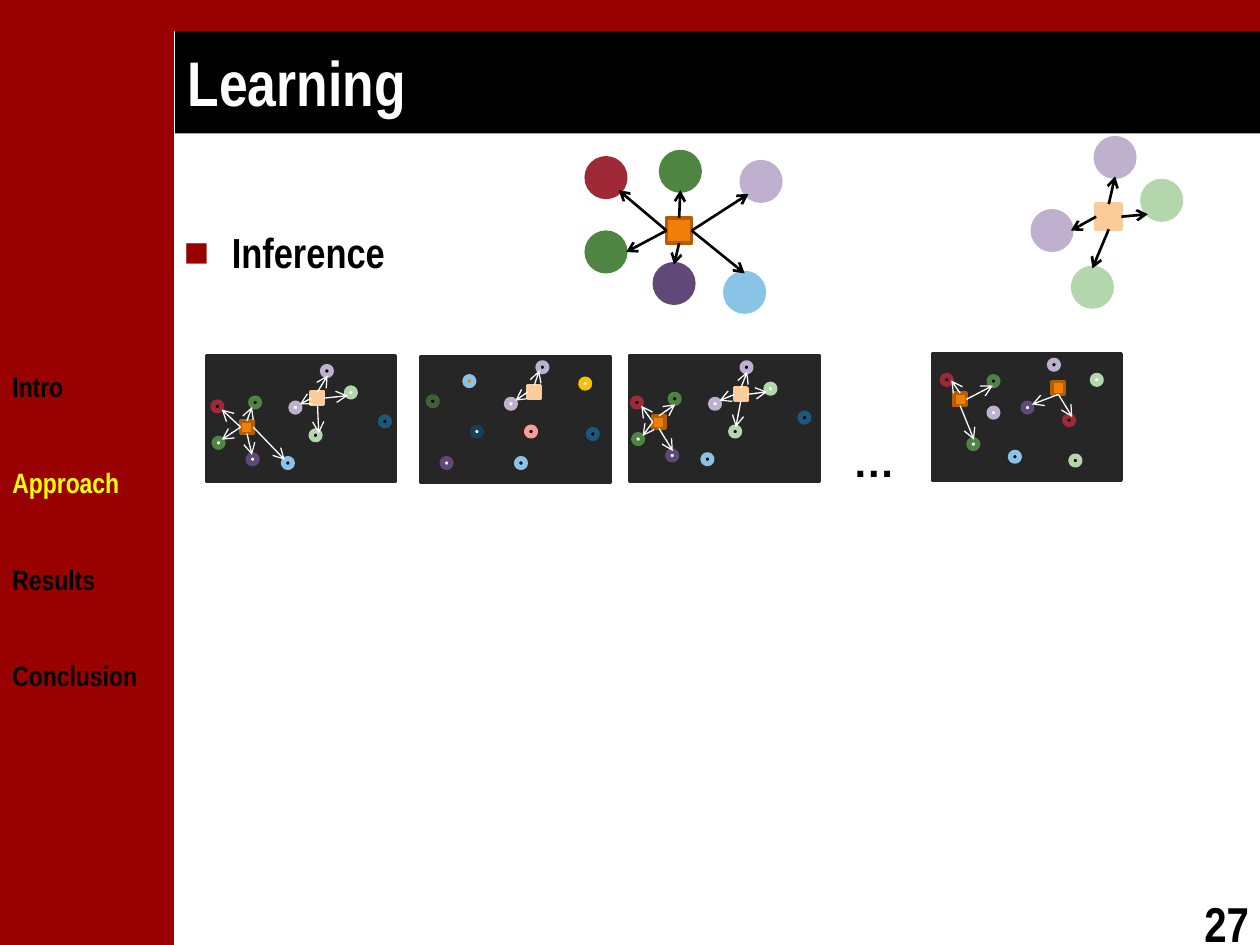
from dataclasses import dataclass, field
from typing import Any

from lxml.etree import SubElement as Sub
from pptx import Presentation
from pptx.dml.color import RGBColor
from pptx.enum.shapes import MSO_CONNECTOR as Link, MSO_SHAPE as Kind
from pptx.enum.text import MSO_ANCHOR as Anchor, MSO_AUTO_SIZE as Fit, PP_ALIGN as Align
from pptx.oxml.ns import qn
from pptx.util import Inches, Pt

BLACK, WHITE, BRICK, NIGHT = "000000", "FFFFFF", "990000", "262626"
RED, GREEN, MINT, LILAC = "9F2936", "4E8542", "B3D6AC", "BFB0CF"
PLUM, SKY, NAVY = "604878", "89C3E5", "1B587C"
ORANGE, RUST, PEACH = "F07F09", "B25E07", "FBCC9A"
NARROW = "Arial Narrow"
TOP, LEFT, BOTTOM, RIGHT = range(4)


@dataclass
class Dot:
    x: float
    y: float
    edge: str
    core: str = BLACK


@dataclass
class Hub:
    x: float
    y: float
    rays: list[tuple[int, float, float]]  # side of the hub, then the tip
    fill: str = ORANGE
    edge: str = RUST


@dataclass
class Net:
    dots: list[Dot]
    hubs: list[Hub] = field(default_factory=list)


@dataclass
class Look:
    dot: float
    hub: float
    ink: str
    width: float


def rgb(code: str) -> RGBColor:
    return RGBColor.from_string(code)


def block(shapes: Any, kind: Kind, x: float, y: float, w: float, h: float,
          fill: str, edge: str = "", width: float = 0) -> Any:
    item = shapes.add_shape(kind, Inches(x), Inches(y), Inches(w), Inches(h))
    item.shadow.inherit = False
    item.fill.solid()
    item.fill.fore_color.rgb = rgb(fill)
    if edge:
        item.line.color.rgb = rgb(edge)
        item.line.width = Pt(width)
    else:
        item.line.fill.background()
    return item


def arrow(shapes: Any, box: Any, side: int, x: float, y: float, look: Look) -> None:
    line = shapes.add_connector(Link.STRAIGHT, box.left, box.top, Inches(x), Inches(y))
    line.begin_connect(box, side)
    line.line.color.rgb = rgb(look.ink)
    line.line.width = Pt(look.width)
    Sub(line.line._get_or_add_ln(), qn("a:tailEnd"), type="arrow")
    Sub(line._element.spPr, qn("a:effectLst"))


def draw(shapes: Any, net: Net, look: Look) -> None:
    for d in net.dots:
        block(shapes, Kind.OVAL, d.x, d.y, look.dot, look.dot, d.core, d.edge, 3)
    for h in net.hubs:
        box = block(shapes, Kind.RECTANGLE, h.x, h.y, look.hub, look.hub, h.fill, h.edge, 2)
        for side, x, y in h.rays:
            arrow(shapes, box, side, x, y, look)


def write(para: Any, text: str, size: float, color: str = BLACK, face: str = NARROW) -> None:
    run = para.add_run()
    run.text = text
    font = run.font
    font.name, font.size, font.bold = face, Pt(size), True
    font.color.rgb = rgb(color)


def place(item: Any, x: float, y: float, w: float, h: float) -> Any:
    item.left, item.top, item.width, item.height = map(Inches, (x, y, w, h))
    frame = item.text_frame
    frame.auto_size = Fit.NONE
    frame.word_wrap = True
    return frame


def label(shapes: Any, x: float, y: float, w: float, h: float) -> Any:
    return place(shapes.add_textbox(0, 0, 0, 0), x, y, w, h)


# Small nets, one per dark panel
FIRST = [
    Dot(1.69, 3.19, RED), Dot(3.02, 3.31, NAVY), Dot(1.97, 3.61, PLUM, WHITE),
    Dot(2.25, 3.64, SKY), Dot(2.47, 3.42, MINT), Dot(2.31, 3.2, LILAC, WHITE),
    Dot(1.99, 3.16, GREEN), Dot(1.7, 3.48, GREEN, WHITE),
    Dot(2.75, 3.08, MINT, WHITE), Dot(2.56, 2.91, LILAC),
]
THIRD = [Dot(d.x + 3.33, d.y - 0.03, d.edge, d.core) for d in FIRST]
PANELS = [(1.64, 2.82), (3.34, 2.83), (5, 2.82), (7.4, 2.81)]
SMALL = [
    Net(FIRST, [
        Hub(2.47, 3.11, [(LEFT, 2.38, 3.21), (RIGHT, 2.76, 3.14), (TOP, 2.6, 2.98),
                         (BOTTOM, 2.53, 3.44)], PEACH, PEACH),
        Hub(1.91, 3.34, [(BOTTOM, 2, 3.61), (TOP, 2, 3.23), (LEFT, 1.76, 3.49),
                         (LEFT, 1.76, 3.25), (RIGHT, 2.26, 3.65)]),
    ]),
    Net([
        Dot(3.4, 3.15, "3B6432"), Dot(4.67, 3.41, NAVY), Dot(3.51, 3.64, PLUM, WHITE),
        Dot(4.1, 3.64, SKY), Dot(4.18, 3.39, "FF9999"), Dot(4.02, 3.17, LILAC, WHITE),
        Dot(3.69, 2.99, SKY, ORANGE), Dot(3.75, 3.39, "14425D", WHITE),
        Dot(4.61, 3.01, "FFC000", WHITE), Dot(4.27, 2.88, LILAC),
    ], [Hub(4.19, 3.06, [(TOP, 4.28, 2.94), (LEFT, 4.09, 3.18)], PEACH, PEACH)]),
    Net(THIRD, [
        Hub(5.83, 3.08, [(LEFT, 5.71, 3.18), (RIGHT, 6.09, 3.11), (TOP, 5.93, 2.95),
                         (BOTTOM, 5.84, 3.39)], PEACH, PEACH),
        Hub(5.18, 3.3, [(TOP, 5.36, 3.21), (LEFT, 5.1, 3.46), (BOTTOM, 5.34, 3.58),
                        (LEFT, 5.09, 3.22)]),
    ]),
    Net([
        Dot(7.48, 2.98, RED), Dot(8.45, 3.3, RED), Dot(8.12, 3.2, PLUM, WHITE),
        Dot(8.02, 3.59, SKY), Dot(8.5, 3.62, MINT), Dot(7.85, 3.24, LILAC, WHITE),
        Dot(7.85, 2.99, GREEN), Dot(7.69, 3.49, GREEN, WHITE),
        Dot(8.67, 2.98, MINT, WHITE), Dot(8.33, 2.86, LILAC),
    ], [
        Hub(7.57, 3.12, [(TOP, 7.55, 3.02), (RIGHT, 7.88, 3.06), (BOTTOM, 7.73, 3.49)]),
        Hub(8.35, 3.03, [(BOTTOM, 8.19, 3.21), (BOTTOM, 8.51, 3.31)]),
    ]),
]

# Large nets above the panels
LARGE = [
    Net([
        Dot(4.66, 1.26, RED, RED), Dot(5.2, 2.1, PLUM, PLUM), Dot(5.76, 2.17, SKY, SKY),
        Dot(5.89, 1.29, LILAC, LILAC), Dot(5.25, 1.21, GREEN, GREEN),
        Dot(4.66, 1.85, GREEN, GREEN),
    ], [Hub(5.29, 1.73, [(TOP, 5.4, 1.51), (RIGHT, 5.94, 1.54), (BOTTOM, 5.35, 2.1),
                         (RIGHT, 5.91, 2.17), (LEFT, 4.97, 2), (LEFT, 4.91, 1.51)])]),
    Net([
        Dot(8.52, 2.13, MINT, MINT), Dot(8.2, 1.68, LILAC, LILAC),
        Dot(9.07, 1.44, MINT, MINT), Dot(8.7, 1.1, LILAC, LILAC),
    ], [Hub(8.7, 1.62, [(RIGHT, 9.11, 1.7), (TOP, 8.85, 1.4), (LEFT, 8.5, 1.83),
                        (BOTTOM, 8.67, 2.13)], PEACH, PEACH)]),
]


def main() -> None:
    deck = Presentation()
    deck.slide_width, deck.slide_height = Inches(10), Inches(7.5)
    slide = deck.slides.add_slide(deck.slide_layouts[1])
    shapes = slide.shapes

    # Frame
    block(shapes, Kind.RECTANGLE, 0, 0, 1.38, 7.5, BRICK)
    block(shapes, Kind.RECTANGLE, 0, 0, 10, 0.25, BRICK)

    # Title
    title = shapes.title
    frame = place(title, 1.39, 0.23, 8.61, 0.83)
    title.fill.solid()
    title.fill.fore_color.rgb = rgb(BLACK)
    frame.vertical_anchor = Anchor.MIDDLE
    frame.paragraphs[0].alignment = Align.LEFT
    write(frame.paragraphs[0], "Learning", 36, WHITE)

    # Body
    frame = place(slide.placeholders[1], 1.36, 1.72, 8.36, 4.98)
    frame.margin_top = Inches(0.08)
    para = frame.paragraphs[0]
    props = para._p.get_or_add_pPr()
    props.set("marL", str(Inches(0.38)))
    props.set("indent", str(-Inches(0.38)))
    Sub(Sub(props, qn("a:buClr")), qn("a:srgbClr"), val=BRICK)
    Sub(props, qn("a:buFont"), typeface="Arial")
    Sub(props, qn("a:buChar"), char="■")
    para.space_before = Pt(0)
    write(para, "Inference", 24)

    # Panels and nets
    for x, y in PANELS:
        block(shapes, Kind.RECTANGLE, x, y, 1.5, 1, NIGHT, NIGHT, 2)
    for net in SMALL:
        draw(shapes, net, Look(0.07, 0.1, WHITE, 0.75))
    for net in LARGE:
        draw(shapes.add_group_shape().shapes, net, Look(0.3, 0.2, BLACK, 1.5))
    para = label(shapes, 6.51, 3.41, 0.85, 0.51).paragraphs[0]
    para.alignment = Align.CENTER
    write(para, "…", 24, face="Arial")

    # Sidebar
    frame = label(shapes, 0, 1.35, 1.35, 4.41)
    frame.margin_top = Inches(1.58)
    for i, name in enumerate(["Intro", "Approach", "Results", "Conclusion"]):
        para = frame.add_paragraph() if i else frame.paragraphs[0]
        para.space_before = Pt(36 if i else 0)
        write(para, name, 16, "FFFF00" if name == "Approach" else BLACK)

    # Page number
    frame = label(shapes, 9.46, 7.04, 0.59, 0.57)
    frame.word_wrap = False
    write(frame.paragraphs[0], "27", 28)

    deck.save("out.pptx")


if __name__ == "__main__":
    main()
